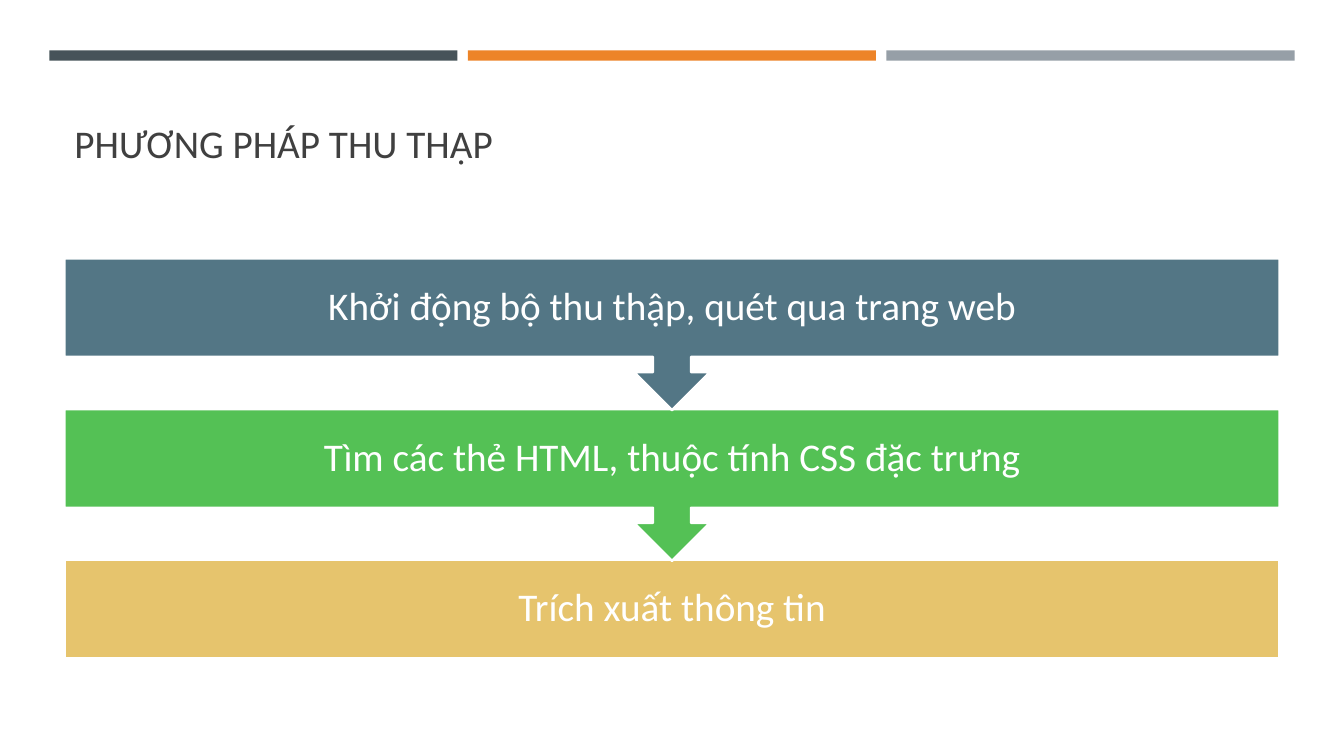
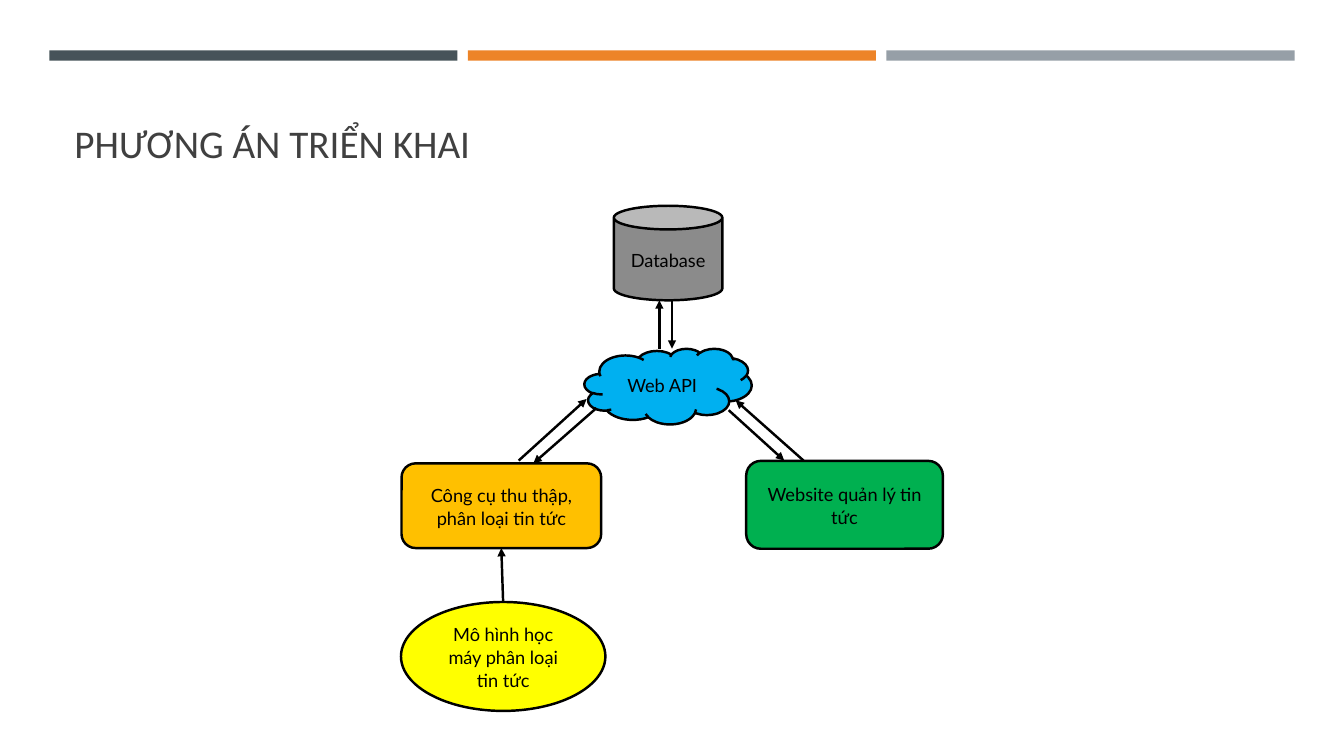
"""Build two slides: the collection method and the deployment plan."""
from dataclasses import dataclass

from lxml.etree import SubElement
from pptx import Presentation
from pptx.dml.color import RGBColor
from pptx.enum.shapes import MSO_CONNECTOR, MSO_SHAPE
from pptx.enum.text import MSO_ANCHOR, PP_ALIGN
from pptx.oxml.ns import qn
from pptx.util import Pt


@dataclass(frozen=True)
class Theme:
    bands: tuple = ("465359", "ED8428", "969FA7")
    title: str = "404040"
    white: str = "FFFFFF"
    black: str = "000000"
    steps: tuple = ("537685", "54C155", "E6C46D")
    database: str = "8B8B8B"
    service: str = "00B0F0"
    collector: str = "FFC000"
    website: str = "00B050"
    model: str = "FFFF00"
    heading_font: str = "Calibri"
    diagram_font: str = "Lato"
    heading_size: float = 28
    diagram_size: float = 13
    line_width: float = 1.75


theme = Theme()


def add_block(slide, kind, box, fill, line=None):
    shape = slide.shapes.add_shape(kind, *map(Pt, box))
    shape.shadow.inherit = False
    shape.fill.solid()
    shape.fill.fore_color.rgb = RGBColor.from_string(fill)
    if line:
        shape.line.color.rgb = RGBColor.from_string(line)
        shape.line.width = Pt(theme.line_width)
    else:
        shape.line.fill.background()
    return shape


def write(shape, text, font, size, color, alignment=PP_ALIGN.CENTER):
    frame = shape.text_frame
    frame.text = text
    frame.word_wrap = True
    frame.vertical_anchor = MSO_ANCHOR.MIDDLE
    paragraph = frame.paragraphs[0]
    paragraph.alignment = alignment
    paragraph.font.name = font
    paragraph.font.size = Pt(size)
    paragraph.font.color.rgb = RGBColor.from_string(color)
    return paragraph


presentation = Presentation()
presentation.slide_width, presentation.slide_height = Pt(960), Pt(540)
title_only = presentation.slide_layouts[5]

slides = []
for title in ("PHƯƠNG PHÁP THU THẬP", "PHƯƠNG ÁN TRIỂN KHAI"):
    slide = presentation.slides.add_slide(title_only)
    heading = slide.shapes.title
    heading.left, heading.top, heading.width, heading.height = map(Pt, (46, 55.5, 868, 93.5))
    write(heading, title, theme.heading_font, theme.heading_size, theme.title, PP_ALIGN.LEFT)
    slides.append(slide)
method_slide, plan_slide = slides

for index, color in enumerate(theme.bands):
    band = add_block(method_slide, MSO_SHAPE.RECTANGLE, (35.2 + 299 * index, 36, 291.5, 7.4), color)
    band.element.nvSpPr.cNvPr.set("id", str(20 + index))
    title_only.shapes.element.insert(2 + index, band.element)

steps = (
    "Khởi động bộ thu thập, quét qua trang web",
    "Tìm các thẻ HTML, thuộc tính CSS đặc trưng",
    "Trích xuất thông tin",
)
step_top, step_pitch, step_height, callout_height = 184.5, 107.7, 70.5, 108.5
for index in reversed(range(len(steps))):
    is_last = index == len(steps) - 1
    kind = MSO_SHAPE.RECTANGLE if is_last else MSO_SHAPE.DOWN_ARROW_CALLOUT
    height = step_height if is_last else callout_height
    box = (46, step_top + step_pitch * index, 868, height)
    step = add_block(method_slide, kind, box, theme.steps[index], theme.white)
    paragraph = write(step, steps[index], theme.heading_font, theme.heading_size, theme.white)
    paragraph.line_spacing = 0.9
    frame = step.text_frame
    frame.margin_left = frame.margin_right = frame.margin_top = frame.margin_bottom = Pt(16)

parts = (
    ("Database", MSO_SHAPE.CAN, (438.5, 147, 77.5, 67.5), theme.database),
    ("Web API", MSO_SHAPE.CLOUD, (417.5, 249, 119.5, 54), theme.service),
    ("Công cụ thu thập, phân loại tin tức", MSO_SHAPE.ROUNDED_RECTANGLE,
     (286.8, 331, 142.6, 60.5), theme.collector),
    ("Website quản lý tin tức", MSO_SHAPE.ROUNDED_RECTANGLE,
     (533, 329.2, 140.5, 62.8), theme.website),
    ("Mô hình học máy phân loại tin tức", MSO_SHAPE.OVAL,
     (286.4, 430, 146, 77.8), theme.model),
)
part_shapes = {}
for text, kind, box, color in parts:
    part = add_block(plan_slide, kind, box, color, theme.black)
    paragraph = write(part, text, theme.diagram_font, theme.diagram_size, theme.black)
    paragraph.line_spacing = 1.07
    paragraph.space_after = Pt(8)
    part_shapes[color] = part

arrows = (
    (471, 249, 471, 214.5),
    (480, 214.5, 480, 249),
    (370.5, 329, 419, 285),
    (426, 291.5, 381, 331),
    (520.5, 293, 560.2, 329),
    (574, 329, 525.5, 286),
    (358.5, 430, 358.5, 391.5),
)
for ends in arrows:
    arrow = plan_slide.shapes.add_connector(MSO_CONNECTOR.STRAIGHT, *map(Pt, ends))
    arrow.line.color.rgb = RGBColor.from_string(theme.black)
    arrow.line.width = Pt(theme.line_width)
    properties = arrow.element.spPr
    SubElement(properties.find(qn("a:ln")), qn("a:tailEnd"), type="triangle")
    SubElement(properties, qn("a:effectLst"))
arrow.begin_connect(part_shapes[theme.model], 0)
arrow.end_connect(part_shapes[theme.collector], 2)

presentation.save("out.pptx")
